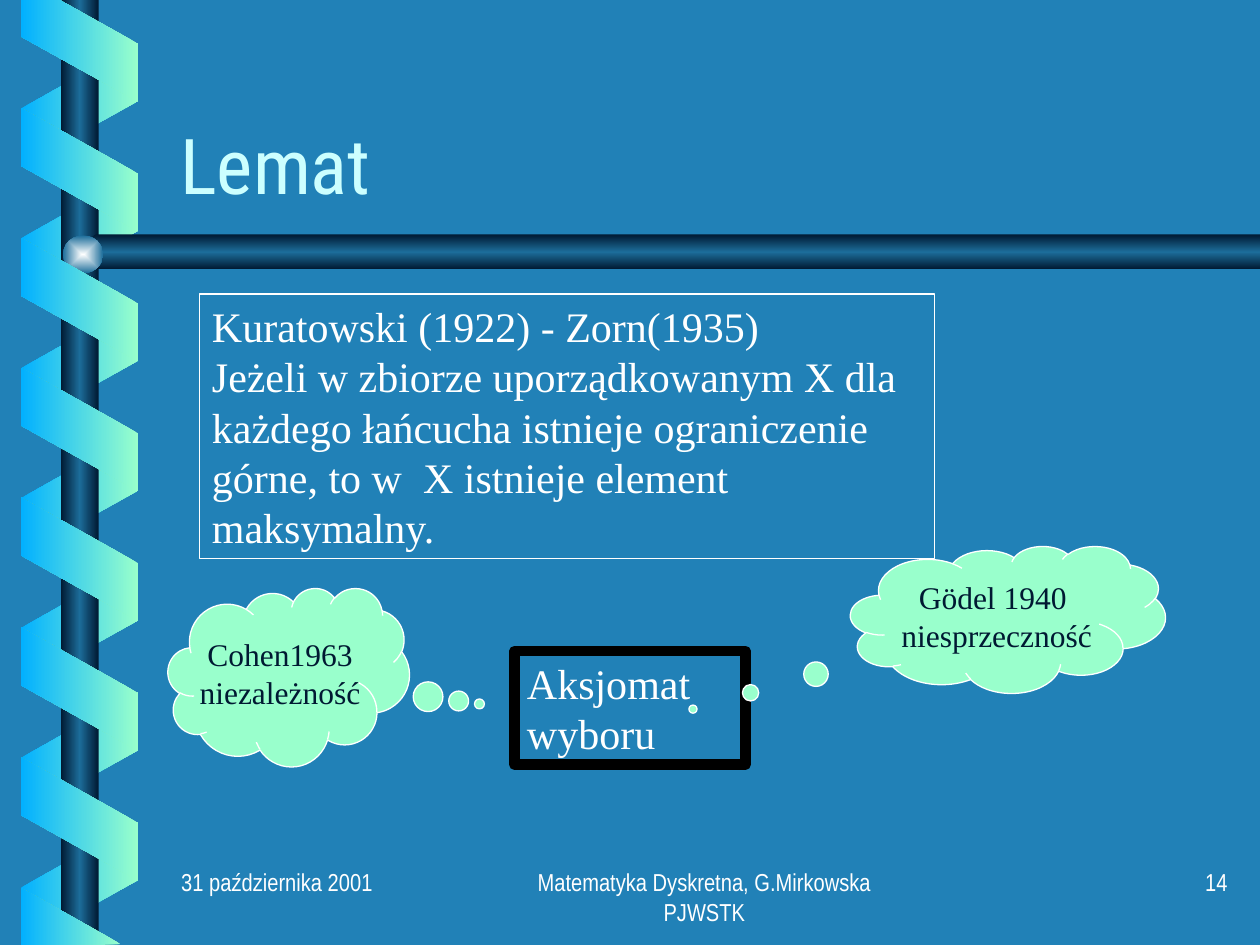
from pptx import Presentation
from pptx.dml.color import RGBColor
from pptx.enum.shapes import MSO_SHAPE
from pptx.enum.text import MSO_ANCHOR, MSO_AUTO_SIZE, PP_ALIGN
from pptx.oxml import parse_xml
from pptx.oxml.ns import nsdecls, qn
from pptx.util import Pt

THEME = {
    "background": "2181B7", "white": "FFFFFF", "title": "CCFFFF", "frame": "000000",
    "mint": "99FFCC", "sky": "01B0FF", "navy": "001932", "steel": "1C6D9A", "glow": "FEFFFF",
    "title_font": "Roboto Condensed", "body_font": "Times New Roman", "footer_font": "Arial Narrow",
    "title_size": 44, "body_size": 24, "cloud_size": 18, "footer_size": 14,
}
SLIDE_SIZE = (720, 540)

TITLE = ("Lemat", (96, 33, 612, 90))
STATEMENTS = [
    ("Kuratowski (1922) - Zorn(1935)\nJeżeli w zbiorze uporządkowanym X dla każdego łańcucha "
     "istnieje ograniczenie górne, to w  X istnieje element maksymalny.",
     (114, 168, 420, 151), "white", 0.75),
    ("Aksjomat wyboru", (294, 372, 132, 65), "frame", 6),
]
CLOUDS = [
    ("Gödel 1940 \nniesprzeczność", (486, 312, 180, 84), (-1.0, 0.61)),
    ("Cohen1963\nniezależność", (96, 336, 138, 102), (0.79, 0.15)),
]
FOOTERS = [
    ("Matematyka Dyskretna, G.Mirkowska PJWSTK", (288.5, 492, 228, 36), PP_ALIGN.CENTER),
    ("14", (558.5, 492, 150, 36), PP_ALIGN.RIGHT),
    ("31 października 2001", (96.5, 492, 150, 36), PP_ALIGN.LEFT),
]

RIBBON = {"left": 10.1, "width": 70.5, "height": 67, "pitch": 74.2, "slant": 0.56}
BACK_RIBBONS = {"top": 26.4, "count": 7, "rotation": 90, "colors": ["sky", "mint"]}
FRONT_RIBBONS = {"top": 63.4, "count": 6, "rotation": 270, "colors": ["mint", "sky"]}
RIBBON_ENDS = [
    [(12.2, 0), (12.2, 21), (78.8, 58), (78.8, 25), (34, 0)],
    [(69, 539.5), (12.2, 507.5), (11.8, 540)],
]
POLE = (34.8, 0, 21.6, 540)
BAR = [(720, 134), (54.7, 134), (43.2, 144), (54.7, 154), (720, 154)]
KNOB = (36, 134.6, 23, 21.6)
METAL = ["navy", "steel", "navy"]


def rgb(name):
    return RGBColor.from_string(THEME[name])


def add_preset(slide, kind, box):
    shape = slide.shapes.add_shape(kind, *map(Pt, box))
    shape.shadow.inherit = False
    return shape


def add_outline(slide, points):
    start, *rest = [(Pt(x), Pt(y)) for x, y in points]
    builder = slide.shapes.build_freeform(*start, scale=1.0)
    builder.add_line_segments(rest, close=True)
    outline = builder.convert_to_shape()
    outline.shadow.inherit = False
    return outline


def shade(shape, colors, angle=None):
    last = len(colors) - 1
    stops = "".join(
        f'<a:gs pos="{100000 * i // last}"><a:srgbClr val="{THEME[color]}"/></a:gs>'
        for i, color in enumerate(colors))
    if angle is None:
        course = '<a:path path="rect"><a:fillToRect l="50000" t="50000" r="50000" b="50000"/></a:path>'
    else:
        course = f'<a:lin ang="{angle * 60000}" scaled="1"/>'
    gradient = parse_xml(
        f'<a:gradFill {nsdecls("a")} rotWithShape="0"><a:gsLst>{stops}</a:gsLst>{course}</a:gradFill>')
    shape.fill.background()
    properties = shape._element.spPr
    properties.replace(properties.find(qn("a:noFill")), gradient)
    shape.line.fill.background()


def add_ribbons(slide, top, count, rotation, colors):
    for i in range(count):
        box = (RIBBON["left"], top + i * RIBBON["pitch"], RIBBON["width"], RIBBON["height"])
        ribbon = add_preset(slide, MSO_SHAPE.PARALLELOGRAM, box)
        ribbon.adjustments[0] = RIBBON["slant"]
        ribbon.rotation = rotation
        if rotation == 90:
            ribbon._element.spPr.xfrm.set("flipH", "1")
        shade(ribbon, colors, 180)


def write(shape, text, role, color, align=PP_ALIGN.LEFT, anchor=MSO_ANCHOR.TOP, wrap=True):
    frame = shape.text_frame
    frame.word_wrap = wrap
    frame.vertical_anchor = anchor
    paragraph = frame.paragraphs[0]
    paragraph.text = text
    paragraph.alignment = align
    paragraph.font.name = THEME["body_font" if role == "cloud" else f"{role}_font"]
    paragraph.font.size = Pt(THEME[f"{role}_size"])
    paragraph.font.color.rgb = rgb(color)
    return paragraph


def add_decoration(slide):
    add_ribbons(slide, **BACK_RIBBONS)
    shade(add_preset(slide, MSO_SHAPE.RECTANGLE, POLE), METAL, 180)
    shade(add_outline(slide, BAR), METAL, 90)
    shade(add_preset(slide, MSO_SHAPE.OVAL, KNOB), ["glow", "steel"])
    add_ribbons(slide, **FRONT_RIBBONS)
    for points in RIBBON_ENDS:
        shade(add_outline(slide, points), FRONT_RIBBONS["colors"], 180)


def add_content(slide):
    text, box = TITLE
    heading = slide.shapes.add_textbox(*map(Pt, box))
    write(heading, text, "title", "title", anchor=MSO_ANCHOR.BOTTOM).line_spacing = 0.8

    for text, box, border, weight in STATEMENTS:
        statement = add_preset(slide, MSO_SHAPE.RECTANGLE, box)
        statement.fill.background()
        statement.line.color.rgb = rgb(border)
        statement.line.width = Pt(weight)
        write(statement, text, "body", "white")
        statement.text_frame.auto_size = MSO_AUTO_SIZE.SHAPE_TO_FIT_TEXT

    for text, box, tail in CLOUDS:
        cloud = add_preset(slide, MSO_SHAPE.CLOUD_CALLOUT, box)
        cloud.adjustments[0], cloud.adjustments[1] = tail
        cloud.fill.solid()
        cloud.fill.fore_color.rgb = rgb("mint")
        cloud.line.color.rgb = rgb("white")
        cloud.line.width = Pt(0.75)
        write(cloud, text, "cloud", "navy", PP_ALIGN.CENTER, MSO_ANCHOR.MIDDLE, wrap=False)

    for text, box, align in FOOTERS:
        write(slide.shapes.add_textbox(*map(Pt, box)), text, "footer", "white", align)


def main():
    """Build the slide on the Kuratowski-Zorn lemma."""
    deck = Presentation()
    deck.slide_width, deck.slide_height = map(Pt, SLIDE_SIZE)
    slide = deck.slides.add_slide(deck.slide_layouts[6])
    slide.background.fill.solid()
    slide.background.fill.fore_color.rgb = rgb("background")
    add_decoration(slide)
    add_content(slide)
    deck.save("out.pptx")


if __name__ == "__main__":
    main()
